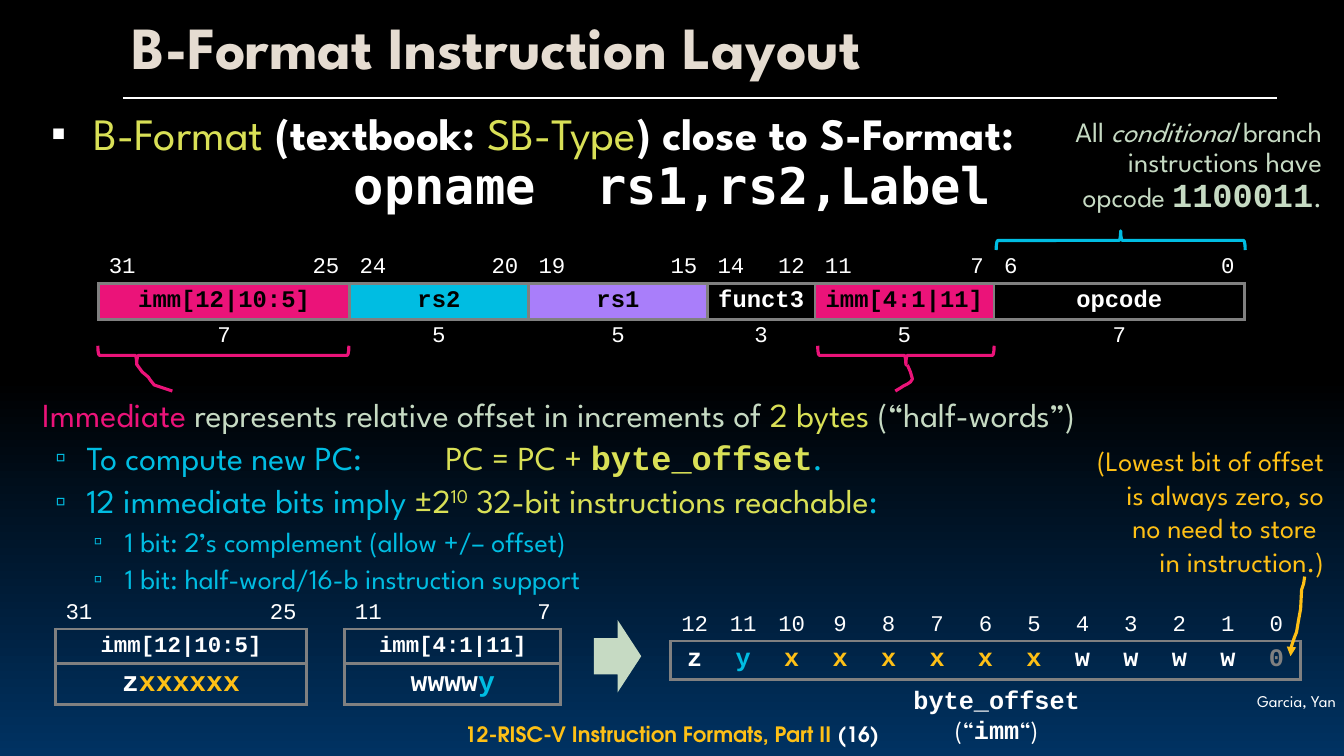
from copy import deepcopy

from lxml.etree import SubElement
from pptx import Presentation
from pptx.dml.color import RGBColor
from pptx.enum.shapes import MSO_CONNECTOR, MSO_SHAPE as Shape
from pptx.enum.text import MSO_ANCHOR as Anchor, PP_ALIGN as Align
from pptx.oxml.ns import qn
from pptx.util import Inches, Pt

COLORS = dict(white="FFFFFF", black="000000", navy="003262", gold="FEC016", cream="E5DCD1",
              lime="D9E056", pink="EB1379", blue="00BDE2", purple="A97EFA", sage="C6DAC3",
              grey="808080")
SANS, MONO, TERMINAL = "League Spartan", "Courier New", "DejaVu Sans Mono"
FOOTER = "TeX Gyre Adventor"
L, C, R = Align.LEFT, Align.CENTER, Align.RIGHT
NO_GRID = "{2D5ABB26-0587-4C30-8999-92F81FD0307C}"

# Content: a span is (text, colour, size, font, flags); flags b bold, i italic, ^ superscript
BREAK = ("\v",)
TITLE = [("B-Format Instruction Layout", "cream", 42.7, SANS, "b")]
HEADLINE = [("B-Format", "lime", 32, SANS, ""), (" (textbook: ", "white", 32, SANS, "b"),
            ("SB-Type", "lime", 32, SANS, ""),
            (") close to S-Format:", "white", 32, SANS, "b")]
SYNTAX = [("opname  rs1,rs2,Label", "white", 36, TERMINAL, "b")]
OPCODE_NOTE = [("All ", "sage", 20, SANS, ""), ("conditional", "sage", 20, SANS, "i"),
               (" branch instructions have opcode ", "sage", 20, SANS, ""),
               ("1100011", "sage", 24, MONO, "b"), (".", "sage", 20, SANS, "")]
IMMEDIATE = [("Immediate ", "pink", 24, SANS, ""),
             ("represents relative offset in increments of ", "sage", 24, SANS, ""),
             ("2 bytes", "lime", 24, SANS, ""), (" (“half-words”)", "sage", 24, SANS, "")]
NEW_PC = [("To compute new PC:\t", "blue", 24, SANS, ""), ("PC = PC + ", "lime", 24, SANS, ""),
          ("byte_offset", "lime", 24, MONO, "b"), (".", "blue", 24, SANS, "")]
REACH = [("12 immediate bits imply ", "blue", 24, SANS, ""), ("±2", "lime", 24, SANS, ""),
         ("10", "lime", 24, SANS, "^"),
         (" 32-bit instructions reachable", "lime", 24, SANS, ""), (":", "blue", 24, SANS, "")]
SIGN_BIT = [("1 bit: 2’s complement (allow +/– offset)", "blue", 20, SANS, "")]
HALF_BIT = [("1 bit: half-word/16-b instruction support", "blue", 20, SANS, "")]
LOWEST_BIT = [("(Lowest bit of offset is always zero, so no need to store ", "gold", 20, SANS, ""),
              BREAK, ("in instruction.)", "gold", 20, SANS, "")]
OFFSET_LABEL = [("byte_offset", "white", 18, MONO, "b"), BREAK, ("(“", "white", 18, SANS, ""),
                ("imm", "white", 18, MONO, "b"), ("“)", "white", 18, SANS, "")]
AUTHORS = [("Garcia, Yan", "white", 11.7, SANS, "")]
PAGE_LINE = [("12-RISC-V Instruction Formats, Part II ", "gold", 15.1, FOOTER, "b"),
             ("(16)", "white", 15.1, FOOTER, "b")]

# Field: name, high bit, low bit, fill, text colour
FIELDS = [("imm[12|10:5]", 31, 25, "pink", "black"), ("rs2", 24, 20, "blue", "black"),
          ("rs1", 19, 15, "purple", "black"), ("funct3", 14, 12, None, "white"),
          ("imm[4:1|11]", 11, 7, "pink", "black"), ("opcode", 6, 0, None, "white")]
# Immediate part: left, column unit, high bit, low bit, name, (letters, colour) pairs
PARTS = [(0.55, 0.356, 31, 25, "imm[12|10:5]", [("z", "white"), ("xxxxxx", "gold")]),
         (3.42, 0.306, 11, 7, "imm[4:1|11]", [("wwww", "white"), ("y", "blue")])]
OFFSET_BITS = "zyxxxxxxwwww0"
BIT_COLORS = dict(z="white", y="blue", x="gold", w="white") | {"0": "grey"}
# Braces: left, top, height, rotation, position of the point, colour
BRACES = [(8.89, 2.65, 1.75, 270, 0.5, "pink"), (2.12, 2.28, 2.49, 270, 0.155, "pink"),
          (11.02, 1.15, 2.47, 90, 0.5, "blue")]
LEFT_TAIL = [(1.36, 3.62), (1.41, 3.69), (1.47, 3.74), (1.49, 3.77), (1.53, 3.82),
             (1.56, 3.83), (1.65, 3.86), (1.71, 3.88)]
RIGHT_TAIL = [(9, 3.62), (9.03, 3.69), (9.05, 3.76), (9.03, 3.79), (9, 3.81), (8.96, 3.83),
              (8.93, 3.85), (8.88, 3.88)]
ZERO_ARROW = [(12.94, 5.72), (12.93, 5.79), (12.91, 5.85), (12.9, 6.04), (12.88, 6.15),
              (12.86, 6.27), (12.84, 6.32), (12.81, 6.41), (12.8, 6.51)]


def rgb(name):
    return RGBColor.from_string(COLORS[name])


def write(para, spans):
    for text, *style in spans:
        if not style:
            para.add_line_break()
            continue
        color, size, font, flags = style
        run = para.add_run()
        run.text = text
        run.font.name, run.font.size = font, Pt(size)
        run.font.bold, run.font.italic = "b" in flags, "i" in flags
        run.font.color.rgb = rgb(color)
        if "^" in flags:
            run.font._element.set("baseline", "30000")


def add_bullet(para, char, size, margin, hanging, color=None):
    props = para._p.get_or_add_pPr()
    props.set("marL", str(Inches(margin)))
    props.set("indent", str(-Inches(hanging)))
    props.set("defTabSz", str(Inches(1)))
    if color:
        SubElement(SubElement(props, qn("a:buClr")), qn("a:srgbClr"), val=COLORS[color])
    SubElement(props, qn("a:buSzPct"), val=str(size * 1000))
    SubElement(props, qn("a:buFont"), typeface="Arial")
    SubElement(props, qn("a:buChar"), char=char)


def add_text(place, spans, align=L, anchor=Anchor.TOP, spacing=None, wrap=True):
    frame = page.shapes.add_textbox(*map(Inches, place)).text_frame
    frame.word_wrap, frame.vertical_anchor = wrap, anchor
    para = frame.paragraphs[0]
    para.alignment = align
    if spacing:
        para.line_spacing = spacing
    write(para, spans)
    return frame


def outline(shape, color):
    shape.shadow.inherit = False
    shape.fill.background()
    shape.line.color.rgb, shape.line.width = rgb(color), Pt(2.25)


def add_curve(points, color):
    start, *rest = [(Inches(x), Inches(y)) for x, y in points]
    builder = page.shapes.build_freeform(*start)
    builder.add_line_segments(rest, close=False)
    curve = builder.convert_to_shape()
    outline(curve, color)
    return curve


def add_border(cell, sides):
    props = cell._tc.get_or_add_tcPr()
    for side in sides:
        line = SubElement(props, qn(f"a:ln{side}"), w=str(Pt(2.25)))
        SubElement(SubElement(line, qn("a:solidFill")), qn("a:srgbClr"), val=COLORS["grey"])


def add_grid(left, top, widths, heights, entries):
    """Entries are (row, column, column count, spans, alignment, fill, border sides)."""
    size = map(Inches, (left, top, sum(widths), sum(heights)))
    table = page.shapes.add_table(len(heights), len(widths), *size).table
    table.first_row = table.horz_banding = False
    table._tbl.tblPr.find(qn("a:tableStyleId")).text = NO_GRID
    for column, width in zip(table.columns, widths):
        column.width = Inches(width)
    for row, height in zip(table.rows, heights):
        row.height = Inches(height)
    for row, col, count, spans, align, fill, sides in entries:
        cell = table.cell(row, col)
        last = col + count - 1
        if count > 1:
            cell.merge(table.cell(row, last))
        for index in range(col, last + 1):
            hidden = {"L": index > col, "R": col < index < last}
            add_border(table.cell(row, index), [s for s in sides if not hidden.get(s)])
        if fill:
            cell.fill.solid()
            cell.fill.fore_color.rgb = rgb(fill)
        cell.vertical_anchor = Anchor.TOP if row else Anchor.BOTTOM
        para = cell.text_frame.paragraphs[0]
        para.alignment, para.line_spacing = align, 0.9
        write(para, spans)
    for cell in table.iter_cells():
        if cell.fill.type is None:
            cell.fill.background()
        if not cell.text_frame.text:
            cell.text_frame.paragraphs[0]._p.get_or_add_endParaRPr().set("sz", "1600")


def bit_label(number):
    return [(str(number), "white", 16, MONO, "")]


def field_columns(bits):
    return [1.5, 1.5] if bits == 3 else [2] + [1] * (bits - 4) + [2]


deck = Presentation()
deck.slide_width, deck.slide_height = Inches(13.33), Inches(7.5)
page = deck.slides.add_slide(deck.slide_layouts[6])

# Background: black, fading to navy below the middle
backdrop = page.background.fill
backdrop.gradient()
backdrop.gradient_angle = 270
top_stop, end_stop = backdrop.gradient_stops
top_stop.color.rgb, top_stop.position = rgb("black"), 0.5
end_stop.color.rgb, end_stop.position = rgb("navy"), 1
top_stop._gs.addnext(deepcopy(top_stop._gs))
top_stop.position = 0

# Footer, title and rule
authors = add_text((11.89, 6.83, 1.44, 0.26), AUTHORS, R)
authors.margin_left = authors.margin_right = Inches(0.08)
authors.margin_top = authors.margin_bottom = Inches(0.03)
add_text((2.45, 7.12, 8.43, 0.32), PAGE_LINE, C, Anchor.MIDDLE)
rule = page.shapes.add_connector(MSO_CONNECTOR.STRAIGHT, *map(Inches, (1.22, 0.97, 12.67, 0.97)))
rule.line.color.rgb, rule.line.width = rgb("white"), Pt(1.5)
SubElement(rule._element.spPr, qn("a:effectLst"))
add_text((1.21, 0.08, 11.49, 0.84), TITLE, anchor=Anchor.MIDDLE, spacing=0.9)

# Headline, syntax and opcode note
headline = add_text((0.32, 1, 12.39, 0.84), HEADLINE)
add_bullet(headline.paragraphs[0], "▪", 95, 0.51, 0.42, "white")
add_text((2.93, 1.48, 7.48, 0.71), SYNTAX, C)
add_text((10.39, 1.08, 2.82, 1.15), OPCODE_NOTE, R, Anchor.MIDDLE, 0.9)

# Braces with their tails
for left, top, height, rotation, point, color in BRACES:
    brace = page.shapes.add_shape(Shape.LEFT_BRACE, *map(Inches, (left, top, 0.19, height)))
    brace.rotation = rotation
    brace.adjustments[0], brace.adjustments[1] = 0.083, point
    outline(brace, color)
for tail in (LEFT_TAIL, RIGHT_TAIL):
    add_curve(tail, "pink")

# Instruction layout: 32 bits share the table width
bit_width = 11.37 / 32
layout_widths, layout_cells = [], []
for name, high, low, fill, color in FIELDS:
    bits, col = high - low + 1, len(layout_widths)
    units = field_columns(bits)
    count = len(units)
    layout_widths += [unit * bit_width for unit in units]
    layout_cells += [(0, col, 1, bit_label(high), L, None, ""),
                     (0, col + count - 1, 1, bit_label(low), R, None, ""),
                     (1, col, count, [(name, color, 17, MONO, "b")], C, fill, "LRTB"),
                     (2, col, count, bit_label(bits), C, None, "T")]
add_grid(0.98, 2.44, layout_widths, [0.37, 0.36, 0.35], layout_cells)

# Byte offset, bit by bit
offset_cells = []
for col, letter in enumerate(OFFSET_BITS):
    last = len(OFFSET_BITS) - 1
    sides = {0: "LTB", last: "RTB"}.get(col, "TB")
    offset_cells += [(0, col, 1, bit_label(last - col), C, None, ""),
                     (1, col, 1, [(letter, BIT_COLORS[letter], 18, MONO, "b")], C, None, sides)]
add_grid(6.65, 6.02, [6.25 / 13] * 13, [0.34, 0.38], offset_cells)

# The two immediate parts
for left, unit_width, high, low, name, letters in PARTS:
    spans = [(text, color, 20, MONO, "b") for text, color in letters]
    add_grid(left, 5.87, [unit * unit_width for unit in field_columns(7)], [0.37, 0.34, 0.41],
             [(0, 0, 1, bit_label(high), L, None, ""), (0, 4, 1, bit_label(low), R, None, ""),
              (1, 0, 5, [(name, "white", 16, MONO, "b")], C, None, "LRTB"),
              (2, 0, 5, spans, C, None, "LRTB")])

# Explanation with nested bullets
explanation = add_text((0.32, 3.86, 11.37, 2.63), IMMEDIATE)
for spans, level, margin in ((NEW_PC, 1, 0.44), (REACH, 1, 0.44),
                             (SIGN_BIT, 2, 0.82), (HALF_BIT, 2, 0.82)):
    para = explanation.add_paragraph()
    add_bullet(para, "▫", 90, margin, 0.31)
    para.level, para.line_spacing, para.space_before = level, 0.9, Pt(5)
    write(para, spans)

# Notes on the byte offset
add_text((10.76, 4.35, 2.47, 1.45), LOWEST_BIT, R)
zero_arrow = add_curve(ZERO_ARROW, "gold")
SubElement(zero_arrow.line._get_or_add_ln(), qn("a:tailEnd"), type="triangle")
add_text((8.55, 6.74, 2.67, 0.4), OFFSET_LABEL, C, wrap=False)
arrow = page.shapes.add_shape(Shape.RIGHT_ARROW, *map(Inches, (5.89, 6.15, 0.47, 0.72)))
outline(arrow, "sage")
arrow.fill.solid()
arrow.fill.fore_color.rgb = rgb("sage")
arrow.line.fill.background()

deck.save("out.pptx")
